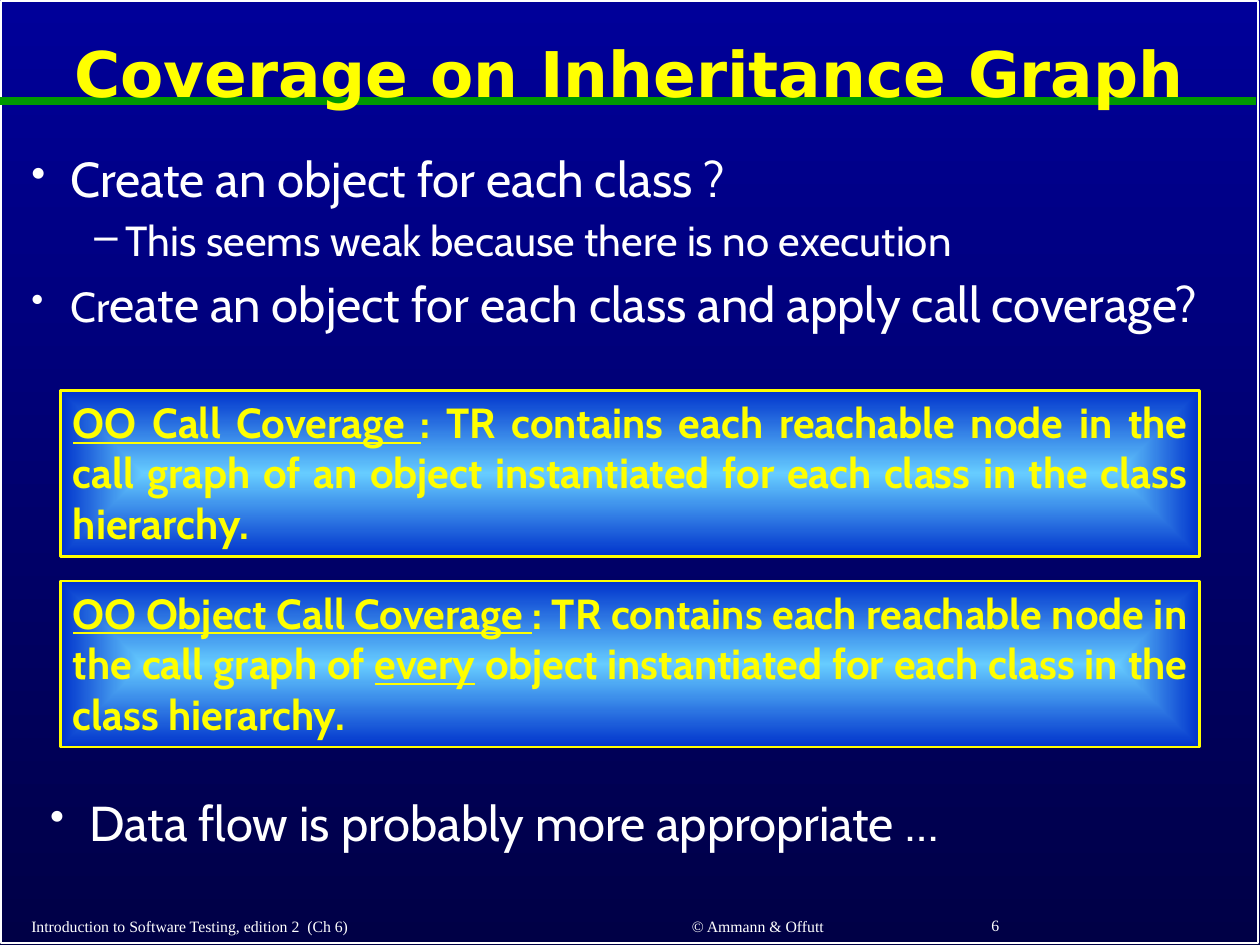
import pptx
import pptx.util
import pptx.dml.color
import pptx.enum.shapes
import pptx.enum.text
import pptx.oxml
import pptx.oxml.ns

Pt = pptx.util.Pt
RGBColor = pptx.dml.color.RGBColor
ALIGN = pptx.enum.text.PP_ALIGN
ANCHOR = pptx.enum.text.MSO_ANCHOR
RECTANGLE = pptx.enum.shapes.MSO_SHAPE.RECTANGLE
NAMESPACE = pptx.oxml.ns.nsdecls("a")
qn = pptx.oxml.ns.qn

WHITE = RGBColor(0xFF, 0xFF, 0xFF)
YELLOW = RGBColor(0xFF, 0xFF, 0x00)
GREEN = RGBColor(0x00, 0x99, 0x00)
NAVY = RGBColor(0x00, 0x00, 0x99)
DARK_NAVY = RGBColor(0x00, 0x00, 0x46)
SKY = RGBColor(0x66, 0xCC, 0xFF)
BLUE = RGBColor(0x00, 0x33, 0xCC)


def add_text_box(left, top, width, height, anchor):
    box = page.shapes.add_textbox(Pt(left), Pt(top), Pt(width), Pt(height))
    box.text_frame.word_wrap = True
    box.text_frame.vertical_anchor = anchor
    return box.text_frame


def add_span(para, text, font, size, color, bold=False, underline=False):
    span = para.add_run()
    span.text = text
    span.font.name = font
    span.font.size = Pt(size)
    span.font.color.rgb = color
    span.font.bold = bold
    span.font.underline = underline


deck = pptx.Presentation()
deck.slide_width = Pt(720)
deck.slide_height = Pt(540)
page = deck.slides.add_slide(deck.slide_layouts[6])

backdrop = page.background.fill
backdrop.gradient()
backdrop.gradient_angle = 270
for stop, color in zip(backdrop.gradient_stops, (NAVY, DARK_NAVY)):
    stop.color.rgb = color

frame = page.shapes.add_shape(RECTANGLE, Pt(0.7), Pt(0.7), Pt(718), Pt(538))
frame.shadow.inherit = False
frame.fill.background()
frame.line.color.rgb = WHITE
frame.line.width = Pt(1)

rule = page.shapes.add_connector(
    pptx.enum.shapes.MSO_CONNECTOR.STRAIGHT, Pt(0), Pt(57.5), Pt(718), Pt(57.5))
rule.line.color.rgb = GREEN
rule.line.width = Pt(4.5)
rule._element.spPr.append(pptx.oxml.parse_xml(f"<a:effectLst {NAMESPACE}/>"))

title = add_text_box(9.5, 8, 700, 72, ANCHOR.MIDDLE).paragraphs[0]
title.alignment = ALIGN.CENTER
title.line_spacing = 0.9
add_span(title, "Coverage on Inheritance Graph", "DejaVu Sans", 36, YELLOW, bold=True)

body = add_text_box(10.8, 85, 698, 140, ANCHOR.TOP)
closing = add_text_box(21.6, 456, 698, 37, ANCHOR.TOP)
bullets = [
    (body.paragraphs[0], 0, 0.9, 0, [("Create an object for each class ?", 28)]),
    (body.add_paragraph(), 1, 0.9, 7.2,
     [("This seems weak because there is no execution", 24)]),
    (body.add_paragraph(), 0, 0.9, 8.4,
     [("Cr", 24), ("eate an object for each class and apply call coverage?", 28)]),
    (closing.paragraphs[0], 0, 0.8, 0,
     [("Data flow is probably more appropriate …", 28)]),
]
bullet_styles = [(22.5, -22.5, "•", 85), (54, -18, "–", 100)]
for para, level, spacing, before, spans in bullets:
    margin, indent, mark, percent = bullet_styles[level]
    para.level = level
    para.line_spacing = spacing
    para.space_before = Pt(before)
    properties = para._p.get_or_add_pPr()
    properties.set("marL", str(Pt(margin)))
    properties.set("indent", str(Pt(indent)))
    for element in (f'<a:buSzPct {NAMESPACE} val="{percent * 1000}"/>',
                    f'<a:buChar {NAMESPACE} char="{mark}"/>'):
        properties.append(pptx.oxml.parse_xml(element))
    for text, size in spans:
        add_span(para, text, "Cabin", size, WHITE)

definitions = [
    (223, [
        ("OO Call Coverage ", True),
        (": TR contains each reachable node in the call graph of an object "
         "instantiated for each class in the class hierarchy.", False),
    ]),
    (332, [
        ("OO Object Call Coverage ", True),
        (": TR contains each reachable node in the call graph of ", False),
        ("every", True),
        (" object instantiated for each class in the class hierarchy.", False),
    ]),
]
for top, spans in definitions:
    box = page.shapes.add_shape(RECTANGLE, Pt(34.6), Pt(top), Pt(651), Pt(95))
    box.shadow.inherit = False
    box.line.color.rgb = YELLOW
    box.line.width = Pt(1.5)
    box.fill.gradient()
    for stop, color in zip(box.fill.gradient_stops, (SKY, BLUE)):
        stop.color.rgb = color
    gradient = box._element.spPr.find(qn("a:gradFill"))
    gradient.replace(gradient.find(qn("a:lin")), pptx.oxml.parse_xml(
        f'<a:path {NAMESPACE} path="shape">'
        '<a:fillToRect l="50000" t="50000" r="50000" b="50000"/></a:path>'))
    box.text_frame.word_wrap = True
    box.text_frame.vertical_anchor = ANCHOR.TOP
    para = box.text_frame.paragraphs[0]
    para.alignment = ALIGN.JUSTIFY
    for text, underline in spans:
        add_span(para, text, "Cabin", 24, YELLOW, bold=True, underline=underline)

footers = [
    (10.8, 520, 296, ALIGN.LEFT, "Introduction to Software Testing, edition 2  (Ch 6)"),
    (319, 519.5, 228, ALIGN.CENTER, "© Ammann & Offutt"),
    (559.4, 519, 150, ALIGN.LEFT, "6"),
]
for left, top, width, alignment, text in footers:
    para = add_text_box(left, top, width, 19, ANCHOR.MIDDLE).paragraphs[0]
    para.alignment = alignment
    add_span(para, text, "Times New Roman", 9, WHITE)

deck.save("out.pptx")
